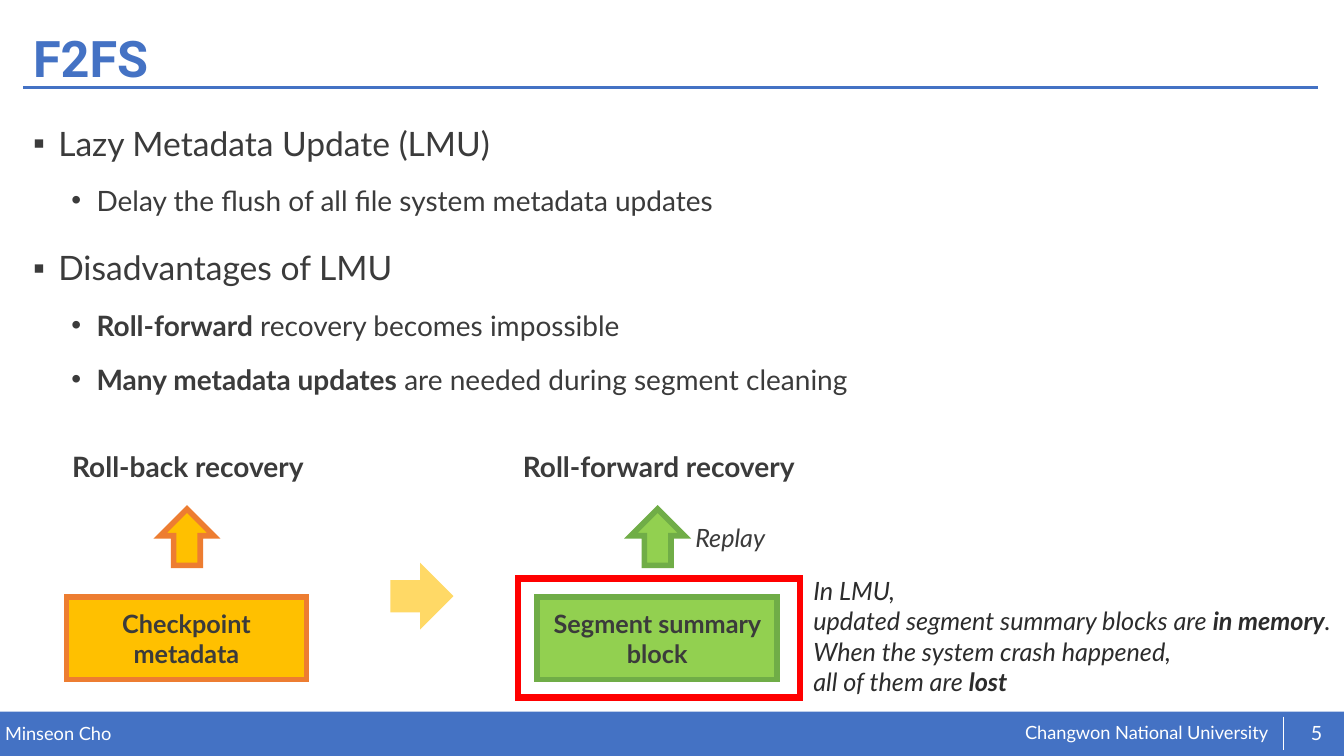
from dataclasses import dataclass
from typing import NamedTuple

from lxml import etree
from pptx import Presentation
from pptx import util as u
from pptx.dml.color import RGBColor
from pptx.enum import shapes, text
from pptx.oxml.ns import qn

CELL = u.Inches(0.1)  # one grid column or row
COLUMNS, ROWS = 133.33, 75
FORM, ALIGN, ANCHOR = shapes.MSO_SHAPE, text.PP_ALIGN, text.MSO_ANCHOR
BREAK, BOLD = "\n", "**"


@dataclass(frozen=True)
class Theme:
    body_font: str = "Lato"
    title_font: str = "Roboto"
    blue: str = "4472C4"
    white: str = "FFFFFF"
    ink: str = "3B3B3B"
    note_ink: str = "2C2C2C"
    amber: str = "FFC000"
    orange: str = "ED7D31"
    lime: str = "92D050"
    green: str = "70AD47"
    yellow: str = "FFD966"
    red: str = "FF0000"
    title_size: float = 36
    topic_size: float = 24
    point_size: float = 20
    label_size: float = 18
    number_size: float = 14
    footer_size: float = 13
    outline: float = 4
    frame: float = 4.5


THEME = Theme()


class Area(NamedTuple):
    column: float
    row: float
    columns: float
    rows: float


class Style(NamedTuple):
    size: float
    color: str = THEME.ink
    bold: bool = False
    italic: bool = False
    align: ALIGN = ALIGN.LEFT
    font: str = THEME.body_font


class Level(NamedTuple):
    style: Style
    symbol: str
    indent: float
    space: float


class Bullet(NamedTuple):
    level: Level
    words: str


class Caption(NamedTuple):
    area: Area
    words: tuple[str, ...]
    style: Style
    anchor: ANCHOR = ANCHOR.TOP
    inset: bool = True


class Stage(NamedTuple):
    center: float
    title: str
    block: str
    fill: str
    line: str


class Rule(NamedTuple):
    start: tuple[float, float]
    end: tuple[float, float]
    color: str
    width: float


TOPIC = Level(Style(THEME.topic_size), "▪", 2.5, 10)
POINT = Level(Style(THEME.point_size), "•", 6.3, 5)
HANGING = 2.5
HEADING = Style(THEME.point_size, bold=True, align=ALIGN.CENTER)
BLOCK = Style(THEME.label_size, bold=True, align=ALIGN.CENTER)
FOOTER = Style(THEME.footer_size, THEME.white)

BULLETS = (
    Bullet(TOPIC, "Lazy Metadata Update (LMU)"),
    Bullet(POINT, "Delay the flush of all file system metadata updates"),
    Bullet(TOPIC, "Disadvantages of LMU"),
    Bullet(POINT, "**Roll-forward** recovery becomes impossible"),
    Bullet(POINT, "**Many metadata updates** are needed during segment cleaning"),
)
STAGES = (
    Stage(18.5, "Roll-back recovery", "Checkpoint metadata", THEME.amber, THEME.orange),
    Stage(65.2, "Roll-forward recovery", "Segment summary block", THEME.lime, THEME.green),
)
RULES = (
    Rule((2.3, 8.7), (130.8, 8.7), THEME.blue, 2),
    Rule((127.3, 71.1), (127.3, 74.4), THEME.white, 0.5),
)
CAPTIONS = (
    Caption(Area(101.7, 71.6, 26.7, 2.3), ("Changwon National University",), FOOTER, inset=False),
    Caption(Area(0.5, 71.7, 65.5, 2.2), ("Minseon Cho",), FOOTER, inset=False),
    Caption(Area(128.2, 70.7, 4.8, 4), ("5",),
            Style(THEME.number_size, THEME.white, align=ALIGN.CENTER), ANCHOR.MIDDLE, False),
    Caption(Area(2.3, 1.8, 128.6, 7.7), ("F2FS",),
            Style(THEME.title_size, THEME.blue, bold=True, font=THEME.title_font), ANCHOR.MIDDLE),
    Caption(Area(68, 51.3, 10, 4), ("Replay",), Style(THEME.label_size, italic=True)),
    Caption(Area(79.7, 56.6, 54.1, 13.1),
            ("In LMU,\nupdated segment summary blocks are **in memory**.",
             "When the system crash happened,\nall of them are **lost**"),
            Style(THEME.label_size, THEME.note_ink, italic=True)),
)


def cells(*counts: float) -> list[int]:
    return [round(count * CELL) for count in counts]


def write(para, words: str, style: Style) -> None:
    """Fill a paragraph; ** toggles bold and a newline breaks the line."""
    para.alignment = style.align
    font = para.font
    font.name, font.size = style.font, u.Pt(style.size)
    font.bold, font.italic = style.bold, style.italic
    font.color.rgb = RGBColor.from_string(style.color)
    for index, part in enumerate(words.split(BOLD)):
        for order, line in enumerate(part.split(BREAK)):
            if order:
                para.add_line_break()
            if line:
                span = para.add_run()
                span.text = line
                if index % 2:
                    span.font.bold = True


def next_paragraph(frame, index: int):
    return frame.add_paragraph() if index else frame.paragraphs[0]


def add_caption(page, caption: Caption) -> None:
    frame = page.shapes.add_textbox(*cells(*caption.area)).text_frame
    frame.word_wrap = True
    frame.vertical_anchor = caption.anchor
    if not caption.inset:
        frame.margin_left = frame.margin_right = frame.margin_top = frame.margin_bottom = 0
    for index, words in enumerate(caption.words):
        write(next_paragraph(frame, index), words, caption.style)


def add_bullets(page, area: Area, bullets: tuple[Bullet, ...]) -> None:
    frame = page.shapes.add_textbox(*cells(*area)).text_frame
    frame.word_wrap = True
    for index, (level, words) in enumerate(bullets):
        para = next_paragraph(frame, index)
        props = para._p.get_or_add_pPr()
        indent, hanging = cells(level.indent, HANGING)
        props.set("marL", str(indent))
        props.set("indent", str(-hanging))
        etree.SubElement(props, qn("a:buFont")).set("typeface", "Arial")
        etree.SubElement(props, qn("a:buChar")).set("char", level.symbol)
        para.line_spacing = 1.4
        if index:
            para.space_before = u.Pt(level.space)
        write(para, words, level.style)


def add_figure(page, form: FORM, area: Area, fill: str = "", line: str = "",
               width: float = THEME.outline):
    figure = page.shapes.add_shape(form, *cells(*area))
    figure.shadow.inherit = False
    if fill:
        figure.fill.solid()
        figure.fill.fore_color.rgb = RGBColor.from_string(fill)
    else:
        figure.fill.background()
    if line:
        figure.line.color.rgb = RGBColor.from_string(line)
        figure.line.width = u.Pt(width)
        outline = figure.line._get_or_add_ln()
        etree.SubElement(outline, qn("a:miter")).set("lim", "800000")
    else:
        figure.line.fill.background()
    return figure


def add_rule(page, rule: Rule) -> None:
    line = page.shapes.add_connector(shapes.MSO_CONNECTOR.STRAIGHT, *cells(*rule.start, *rule.end))
    line.line.color.rgb = RGBColor.from_string(rule.color)
    line.line.width = u.Pt(rule.width)
    etree.SubElement(line._element.spPr, qn("a:effectLst"))


def add_stage(page, stage: Stage) -> None:
    """Draw a block, the arrow above it and the recovery it leads to."""
    block = add_figure(page, FORM.RECTANGLE, Area(stage.center - 11.9, 59.2, 23.8, 8.2),
                       stage.fill, stage.line)
    block.text_frame.word_wrap = True
    block.text_frame.vertical_anchor = ANCHOR.MIDDLE
    write(block.text_frame.paragraphs[0], stage.block, BLOCK)
    add_figure(page, FORM.UP_ARROW, Area(stage.center - 2.6, 50.5, 5.3, 5.6),
               stage.fill, stage.line)
    add_caption(page, Caption(Area(stage.center - 16.8, 44.1, 33.9, 4.4), (stage.title,), HEADING))


def main() -> None:
    deck = Presentation()
    deck.slide_width, deck.slide_height = cells(COLUMNS, ROWS)
    page = deck.slides.add_slide(deck.slide_layouts[6])
    add_figure(page, FORM.RECTANGLE, Area(0, 70.6, COLUMNS, 4.4), THEME.blue)
    for rule in RULES:
        add_rule(page, rule)
    add_bullets(page, Area(2.3, 10.1, 128.6, 56.3), BULLETS)
    for stage in STAGES:
        add_stage(page, stage)
    add_figure(page, FORM.RIGHT_ARROW, Area(39, 56.5, 5.6, 5.3), THEME.yellow, THEME.yellow)
    add_figure(page, FORM.RECTANGLE, Area(51.4, 57.4, 28, 11.8), line=THEME.red, width=THEME.frame)
    for caption in CAPTIONS:
        add_caption(page, caption)
    deck.save("out.pptx")


if __name__ == "__main__":
    main()
